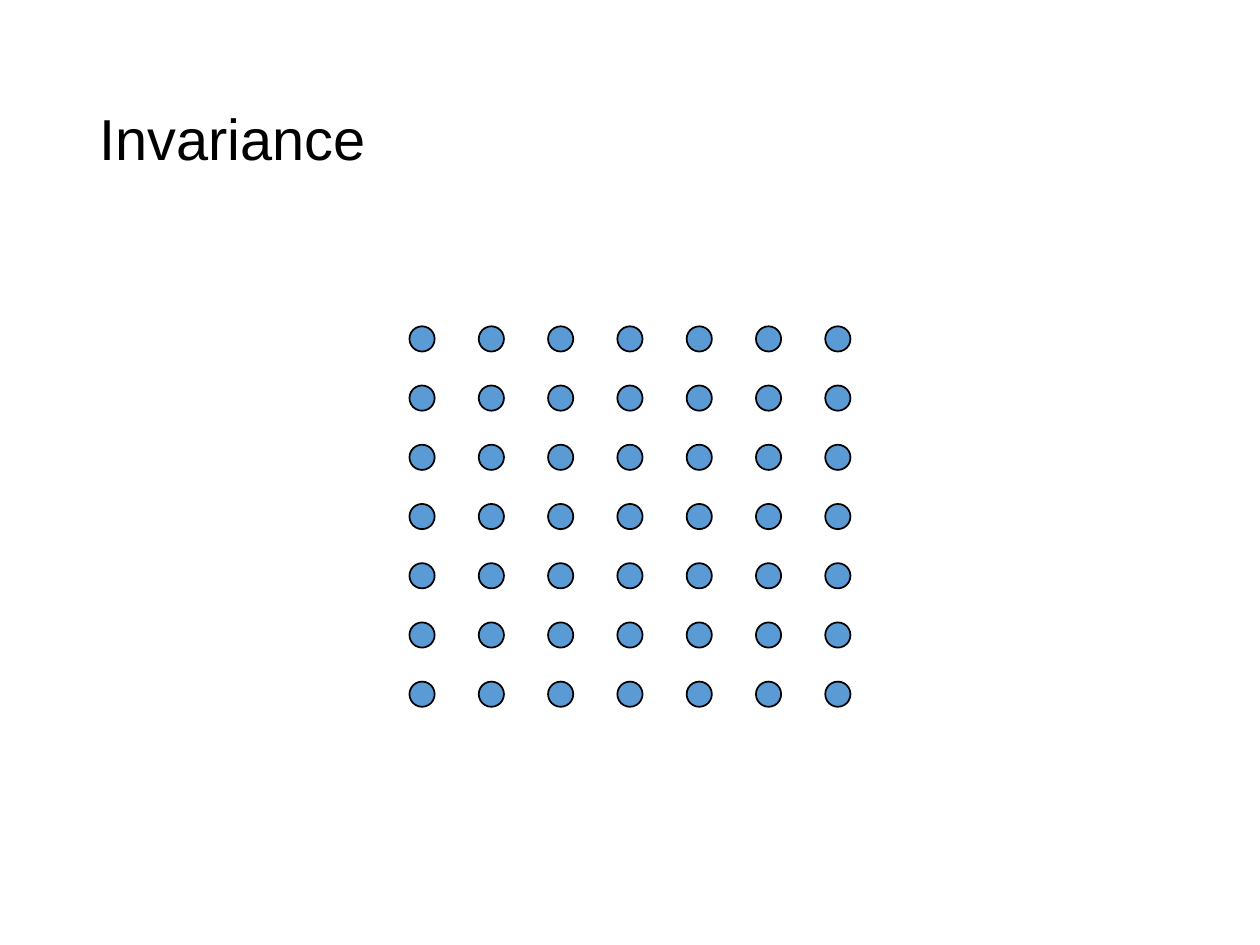
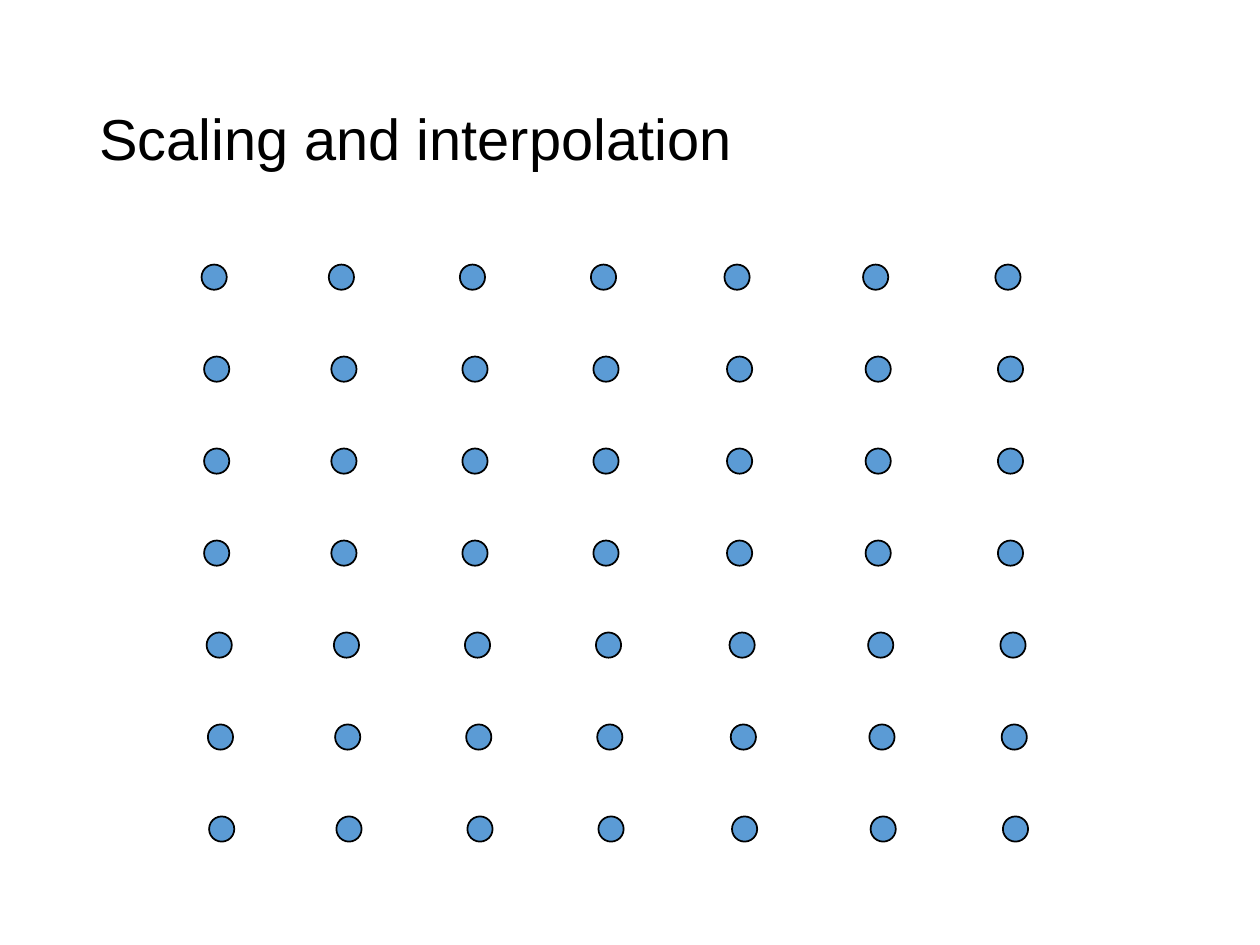
from pptx import Presentation
from pptx.dml.color import RGBColor
from pptx.enum.shapes import MSO_SHAPE
from pptx.enum.text import MSO_ANCHOR, PP_ALIGN
from pptx.util import Pt

PX = 9144  # 100 px to the inch
WIDTH, HEIGHT = 1000, 750
BLACK = RGBColor(0x00, 0x00, 0x00)
BLUE = RGBColor(0x5B, 0x9B, 0xD5)
FONT = "Arial"
OVAL = MSO_SHAPE.OVAL
MIDDLE = MSO_ANCHOR.MIDDLE
LEFT = PP_ALIGN.LEFT

TITLE_BOX = (69, 40, 862, 145)
DOT = 20
COUNT = 7

# Column lefts, row tops, and the sideways drift of each row
SLIDES = [
    {
        "title": "Invariance",
        "columns": [325 + 55 * i for i in range(COUNT)],
        "rows": [259 + 47 * i for i in range(COUNT)],
        "drift": [0] * COUNT,
        "grouped": True,
    },
    {
        "title": "Scaling and interpolation",
        "columns": [160, 261, 365, 469, 575, 685, 790],
        "rows": [210 + 73 * i for i in range(COUNT)],
        "drift": [0, 2, 2, 2, 4, 5, 6],
        "grouped": False,
    },
]


def px(*lengths):
    return [n * PX for n in lengths]


def add_title(s, text):
    tf = s.shapes.add_textbox(*px(*TITLE_BOX)).text_frame
    tf.word_wrap = True
    tf.vertical_anchor = MIDDLE
    p = tf.paragraphs[0]
    p.alignment = LEFT
    p.line_spacing = 0.9
    r = p.add_run()
    r.text = text
    r.font.name = FONT
    r.font.size = Pt(33)
    r.font.color.rgb = BLACK


def add_dot(shapes, x, y):
    sp = shapes.add_shape(OVAL, *px(x, y, DOT, DOT))
    sp.shadow.inherit = False
    sp.fill.solid()
    sp.fill.fore_color.rgb = BLUE
    sp.line.color.rgb = BLACK
    sp.line.width = Pt(1)


def add_lattice(s, columns, rows, drift, grouped):
    shapes = s.shapes.add_group_shape().shapes if grouped else s.shapes
    for y, shift in zip(rows, drift):
        for x in columns:
            add_dot(shapes, x + shift, y)


def main():
    prs = Presentation()
    prs.slide_width, prs.slide_height = px(WIDTH, HEIGHT)
    blank = prs.slide_layouts[6]
    for content in SLIDES:
        s = prs.slides.add_slide(blank)
        add_title(s, content["title"])
        add_lattice(s, content["columns"], content["rows"],
                    content["drift"], content["grouped"])
    prs.save("out.pptx")


if __name__ == "__main__":
    main()
